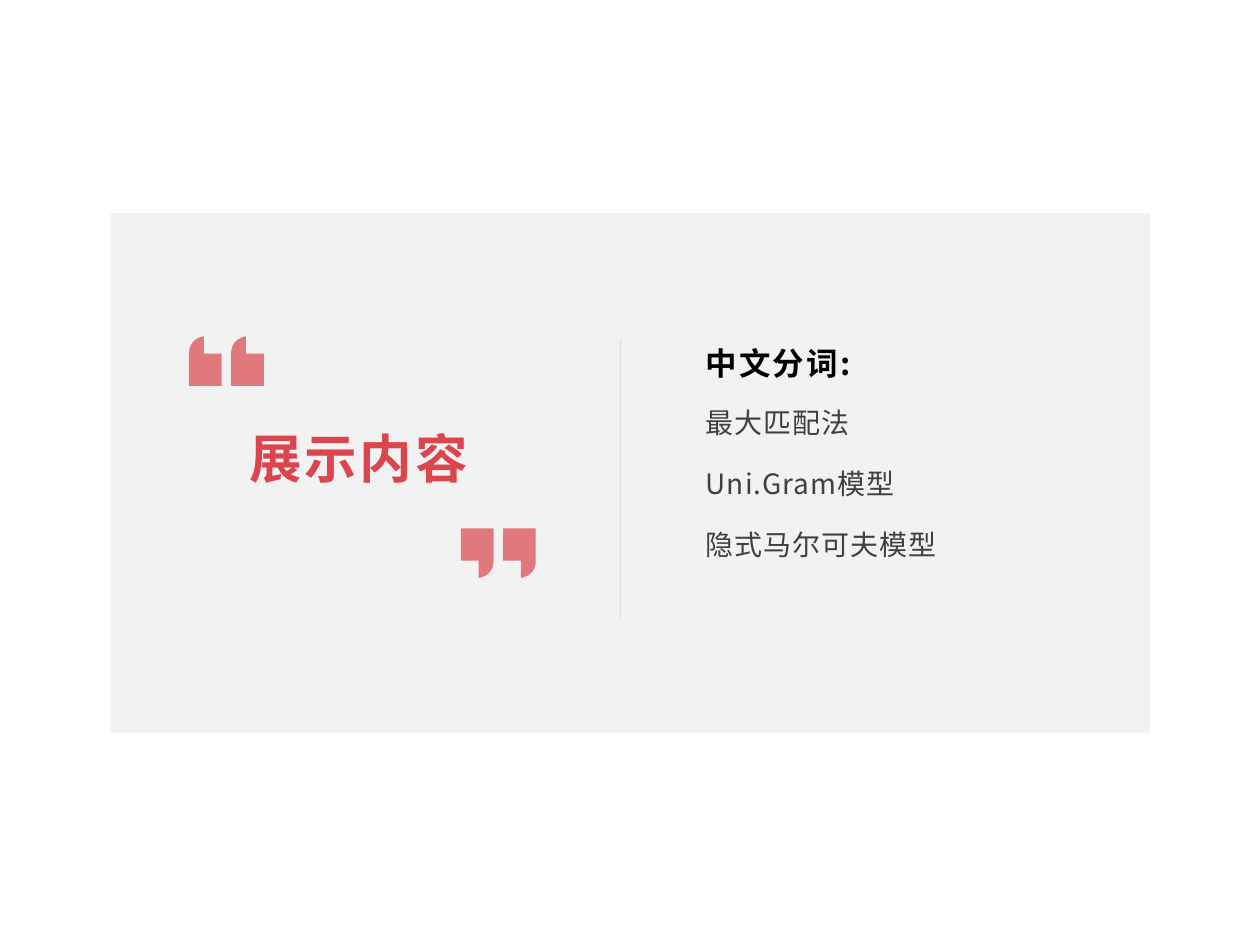
"""Build an agenda slide with a quoted title and a list of segmentation models."""
import pptx
import pptx.dml.color
import pptx.enum.dml
import pptx.enum.shapes
import pptx.enum.text
import pptx.oxml.ns
import pptx.util
from lxml import etree
from pptx.util import Cm

COLORS = {"panel": "F2F2F2", "divider": "D9D9D9", "accent": "DB454E",
          "heading": "000000", "body": "404040"}
FONT = "Noto Sans CJK SC"
ALIGN = pptx.enum.text.PP_ALIGN
ANCHOR = pptx.enum.text.MSO_ANCHOR
qn = pptx.oxml.ns.qn


def paint(shape, color):
    shape.shadow.inherit = False
    shape.fill.solid()
    shape.fill.fore_color.rgb = pptx.dml.color.RGBColor.from_string(COLORS[color])
    shape.line.fill.background()


def add_text(place, lines, size, color, bold, tracking, anchor, align,
             spacing=1.0, before=0, after=0):
    box = page.shapes.add_textbox(*map(Cm, place))
    frame = box.text_frame
    frame.word_wrap = True
    frame.vertical_anchor = anchor
    frame.margin_left = frame.margin_right = Cm(0.13)
    frame.margin_top = frame.margin_bottom = Cm(0.05)
    for index, line in enumerate(lines):
        para = frame.add_paragraph() if index else frame.paragraphs[0]
        para.alignment = align
        para.line_spacing = spacing
        para.space_before = pptx.util.Pt(before)
        para.space_after = pptx.util.Pt(after)
        span = para.add_run()
        span.text = line
        span.font.size = pptx.util.Pt(size)
        span.font.bold = bold
        span.font.name = FONT
        span.font.color.rgb = pptx.dml.color.RGBColor.from_string(COLORS[color])
        properties = span._r.get_or_add_rPr()
        properties.set("lang", "zh-CN")
        properties.set("spc", str(round(tracking * 100)))
        etree.SubElement(properties, qn("a:ea"), typeface=FONT)


deck = pptx.Presentation()
deck.slide_width, deck.slide_height = Cm(25.4), Cm(19.05)
page = deck.slides.add_slide(deck.slide_layouts[6])

panel = page.shapes.add_shape(pptx.enum.shapes.MSO_SHAPE.RECTANGLE,
                              Cm(2.23), Cm(4.29), Cm(20.95), Cm(10.48))
paint(panel, "panel")

divider = page.shapes.add_connector(pptx.enum.shapes.MSO_CONNECTOR.STRAIGHT,
                                    Cm(12.51), Cm(6.83), Cm(12.51), Cm(12.47))
divider.line.width = pptx.util.Pt(0.1)
divider.line.color.rgb = pptx.dml.color.RGBColor.from_string(COLORS["divider"])
divider.line.dash_style = pptx.enum.dml.MSO_LINE.DASH
etree.SubElement(divider._element.spPr, qn("a:effectLst"))

quote_outline = [(0.3, 0), (0.3, 0.35), (0.66, 0.35), (0.66, 1), (0, 1), (0, 0.35)]
curve = [(0, 0.35), (0, 0.06), (0.25, 0.01), (0.3, 0)]
for step in range(1, 12):
    t = step / 12
    weights = ((1 - t) ** 3, 3 * t * (1 - t) ** 2, 3 * t ** 2 * (1 - t), t ** 3)
    quote_outline.append(tuple(sum(w * point[axis] for w, point in zip(weights, curve))
                               for axis in (0, 1)))

for left, top, turn in ((3.81, 6.78, 0), (9.29, 10.65, 180)):
    for offset in (0, 0.85):
        points = [(Cm(left + offset + x), Cm(top + y)) for x, y in quote_outline]
        builder = page.shapes.build_freeform(*points[0])
        builder.add_line_segments(points[1:], close=True)
        quote = builder.convert_to_shape()
        quote.rotation = turn
        paint(quote, "accent")
        tint = quote._element.spPr.find(qn("a:solidFill"))[0]
        etree.SubElement(tint, qn("a:alpha"), val="70000")

add_text((14.1, 6.65, 7.8, 1.09), ["中文分词:"], 18, "heading", True, 1.2,
         ANCHOR.BOTTOM, ALIGN.LEFT, spacing=1.3, after=8)
add_text((14.1, 7.92, 7.8, 4.47), ["最大匹配法", "Uni.Gram模型", "隐式马尔可夫模型"],
         16, "body", False, 0.6, ANCHOR.TOP, ALIGN.LEFT, spacing=1.3, before=10)
add_text((3.51, 8.43, 7.44, 1.57), ["展示内容"], 30, "accent", True, 1.6,
         ANCHOR.MIDDLE, ALIGN.CENTER)

deck.save("out.pptx")
